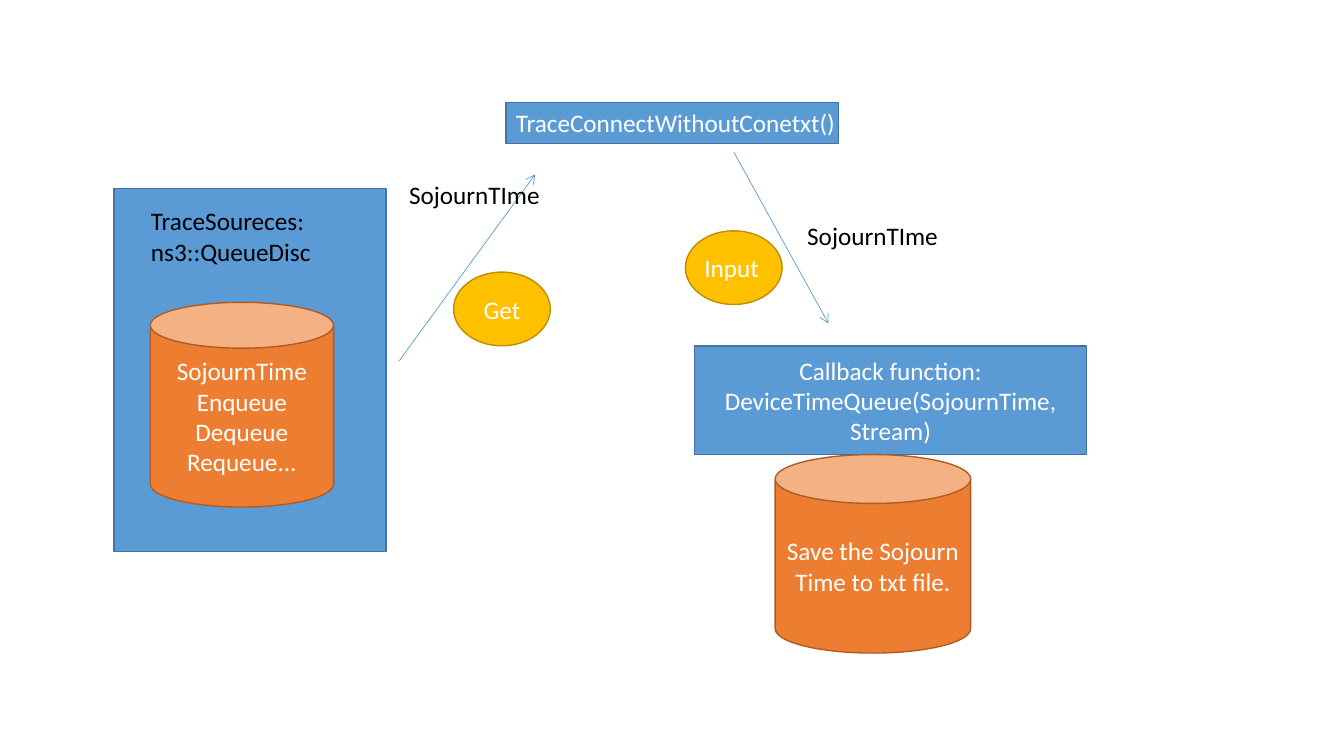
import dataclasses

import pptx
import pptx.dml.color
import pptx.enum.shapes
import pptx.enum.text
import pptx.oxml
import pptx.oxml.ns
import pptx.util

Pt = pptx.util.Pt
Geometry = pptx.enum.shapes.MSO_SHAPE
Align = pptx.enum.text.PP_ALIGN
Anchor = pptx.enum.text.MSO_ANCHOR
AutoSize = pptx.enum.text.MSO_AUTO_SIZE

BLUE, ORANGE, YELLOW = "5B9BD5", "ED7D31", "FFC000"
OUTLINES = {BLUE: "43739E", ORANGE: "AF5C24", YELLOW: "BD8E00"}
WHITE, BLACK = "FFFFFF", "000000"
CENTERED = {"word_wrap": True, "vertical_anchor": Anchor.MIDDLE}
HEADING = {"word_wrap": True, "vertical_anchor": Anchor.TOP, "margin_right": 0}
WRAPPED = {"word_wrap": True, "auto_size": AutoSize.SHAPE_TO_FIT_TEXT}
UNWRAPPED = {"word_wrap": False, "auto_size": AutoSize.SHAPE_TO_FIT_TEXT}


@dataclasses.dataclass(frozen=True)
class Block:
    left: float
    top: float
    width: float
    height: float
    geometry: Geometry
    fill: str
    text: str = ""
    align: Align = Align.CENTER
    frame: dict = dataclasses.field(default_factory=lambda: CENTERED)


@dataclasses.dataclass(frozen=True)
class Label:
    left: float
    top: float
    width: float
    height: float
    text: str
    color: str = BLACK
    frame: dict = dataclasses.field(default_factory=lambda: UNWRAPPED)


@dataclasses.dataclass(frozen=True)
class Arrow:
    start_x: float
    start_y: float
    end_x: float
    end_y: float


def rgb(color: str) -> pptx.dml.color.RGBColor:
    return pptx.dml.color.RGBColor.from_string(color)


def apply(target, values: dict) -> None:
    for name, value in values.items():
        setattr(target, name, value)


def write(shape, text: str, color: str, align: Align, frame: dict) -> None:
    apply(shape.text_frame, frame)
    shape.text_frame.text = text
    for paragraph in shape.text_frame.paragraphs:
        paragraph.alignment = align
        for run in paragraph.runs:
            apply(run.font, {"name": "Calibri", "size": Pt(18)})
            run.font.color.rgb = rgb(color)


def draw_block(shapes, block: Block) -> None:
    shape = shapes.add_shape(block.geometry, Pt(block.left), Pt(block.top),
                             Pt(block.width), Pt(block.height))
    shape.shadow.inherit = False
    shape.fill.solid()
    shape.fill.fore_color.rgb = rgb(block.fill)
    shape.line.color.rgb = rgb(OUTLINES[block.fill])
    shape.line.width = Pt(1)
    if block.text:
        write(shape, block.text, WHITE, block.align, block.frame)


def draw_label(shapes, label: Label) -> None:
    box = shapes.add_textbox(Pt(label.left), Pt(label.top),
                             Pt(label.width), Pt(label.height))
    write(box, label.text, label.color, Align.LEFT, label.frame)


def draw_arrow(shapes, arrow: Arrow) -> None:
    connector = shapes.add_connector(
        pptx.enum.shapes.MSO_CONNECTOR.STRAIGHT,
        Pt(arrow.start_x), Pt(arrow.start_y), Pt(arrow.end_x), Pt(arrow.end_y))
    connector.line.color.rgb = rgb(BLUE)
    connector.line.width = Pt(0.5)
    namespace = pptx.oxml.ns.nsdecls("a")
    connector.line._get_or_add_ln().append(
        pptx.oxml.parse_xml(f'<a:tailEnd {namespace} type="arrow"/>'))
    connector._element.spPr.append(
        pptx.oxml.parse_xml(f"<a:effectLst {namespace}/>"))


DRAW = {Block: draw_block, Label: draw_label, Arrow: draw_arrow}

DIAGRAM = [
    Block(81.4, 134.6, 194.4, 259.2, Geometry.RECTANGLE, BLUE),
    Label(100.8, 143.3, 153.4, 51, "TraceSoureces:\nns3::QueueDisc", frame=WRAPPED),
    Block(107.3, 216, 131, 146.2, Geometry.CAN, ORANGE,
          "SojournTime\nEnqueue\nDequeue\nRequeue..."),
    Block(361.4, 73.4, 237.6, 29, Geometry.RECTANGLE, BLUE,
          "TraceConnectWithoutConetxt()", Align.LEFT, HEADING),
    Arrow(285.1, 257.8, 382.3, 124.6),
    Block(324, 194.4, 69.1, 52.6, Geometry.OVAL, YELLOW, "Get"),
    Label(285.1, 124.6, 108, 29, "SojournTIme"),
    Arrow(524.2, 108.7, 591.8, 231.1),
    Block(489.6, 164.9, 69.1, 52.6, Geometry.OVAL, YELLOW),
    Label(496.1, 176.4, 53.3, 29, "Input", WHITE),
    Block(496.1, 247, 280.1, 77.8, Geometry.RECTANGLE, BLUE,
          "Callback function: DeviceTimeQueue(SojournTime, Stream)"),
    Label(569.5, 154.1, 108, 29, "SojournTIme"),
    Block(553.7, 324.7, 139.7, 141.8, Geometry.CAN, ORANGE,
          "Save the Sojourn Time to txt file."),
]

presentation = pptx.Presentation()
apply(presentation, {"slide_width": Pt(960), "slide_height": Pt(540)})
slide = presentation.slides.add_slide(presentation.slide_layouts[6])
for part in DIAGRAM:
    DRAW[type(part)](slide.shapes, part)
presentation.save("out.pptx")
